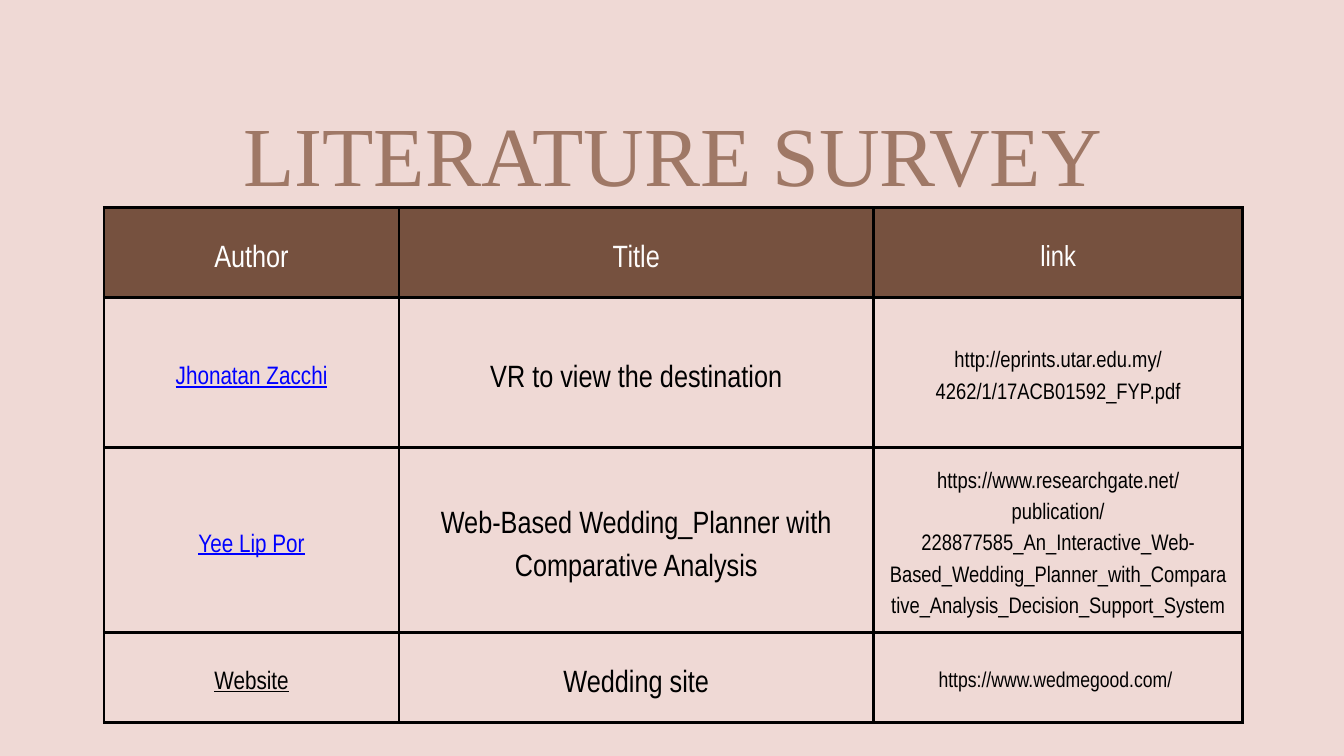
import pptx
import pptx.dml.color
import pptx.enum.text
import pptx.oxml.ns
import pptx.util
from lxml import etree

Pt = pptx.util.Pt
RGBColor = pptx.dml.color.RGBColor
PP_ALIGN = pptx.enum.text.PP_ALIGN
MSO_ANCHOR = pptx.enum.text.MSO_ANCHOR

BLUSH = RGBColor(0xEF, 0xD9, 0xD5)
TAN = RGBColor(0x9F, 0x78, 0x66)
BROWN = RGBColor(0x76, 0x51, 0x3F)
WHITE = RGBColor(0xFF, 0xFF, 0xFF)
OFF_WHITE = RGBColor(0xFD, 0xFB, 0xFB)
BLACK = RGBColor(0, 0, 0)
BLUE = RGBColor(0, 0, 0xFF)

TITLE_FONT = "Times New Roman"
TABLE_FONT = "Arial Narrow"
LINE_RATIO = 1.4
CELL_MARGIN = 15
BORDER_WIDTH = 3

COLUMNS = [316, 508.5, 395.5]
ROW_HEIGHTS = [96.5, 160.5, 178.5, 96.5]
HEADER = [("Author", 33, WHITE, False), ("Title", 33, OFF_WHITE, False), ("link", 31, WHITE, False)]
SURVEY = [
    ("Jhonatan Zacchi", BLUE, "VR to view the destination",
     "http://eprints.utar.edu.my/4262/1/17ACB01592_FYP.pdf", 24),
    ("Yee Lip Por", BLUE, "Web-Based Wedding_Planner with Comparative Analysis",
     "https://www.researchgate.net/publication/228877585_An_Interactive_Web-"
     "Based_Wedding_Planner_with_Comparative_Analysis_Decision_Support_System", 24),
    ("Website", BLACK, "Wedding site", "https://www.wedmegood.com/ ", 23),
]


def write_text(tf, text, size, font, color, spacing, underline=False):
    p = tf.paragraphs[0]
    p.alignment = PP_ALIGN.CENTER
    p.line_spacing = Pt(spacing)
    r = p.add_run()
    r.text = text
    r.font.name = font
    r.font.size = Pt(size)
    r.font.color.rgb = color
    r.font.underline = underline


def add_borders(cell):
    tc_pr = cell._tc.get_or_add_tcPr()
    for side in ("lnL", "lnR", "lnT", "lnB"):
        ln = etree.SubElement(tc_pr, pptx.oxml.ns.qn(f"a:{side}"), w=str(Pt(BORDER_WIDTH)))
        fill = etree.SubElement(ln, pptx.oxml.ns.qn("a:solidFill"))
        etree.SubElement(fill, pptx.oxml.ns.qn("a:srgbClr"), val=str(BLACK))


def add_title(s, left, top, width, height):
    tf = s.shapes.add_textbox(Pt(left), Pt(top), Pt(width), Pt(height)).text_frame
    tf.word_wrap = True
    tf.margin_left = tf.margin_right = tf.margin_top = tf.margin_bottom = 0
    write_text(tf, "LITERATURE SURVEY", 90, TITLE_FONT, TAN, 90)


def add_survey_table(s, left, top, width, height):
    rows = [HEADER] + [
        [(author, 27, color, True), (title, 33, BLACK, False), (link, link_size, BLACK, False)]
        for author, color, title, link, link_size in SURVEY
    ]
    table = s.shapes.add_table(
        len(rows), len(COLUMNS), Pt(left), Pt(top), Pt(width), Pt(height)).table
    table.horz_banding = False
    table.first_row = False
    for column, share in zip(table.columns, COLUMNS):
        column.width = Pt(width * share / sum(COLUMNS))
    for row, share in zip(table.rows, ROW_HEIGHTS):
        row.height = Pt(height * share / sum(ROW_HEIGHTS))
    for i, row in enumerate(rows):
        for j, (text, size, color, underline) in enumerate(row):
            cell = table.cell(i, j)
            cell.vertical_anchor = MSO_ANCHOR.MIDDLE
            cell.margin_left = cell.margin_right = Pt(CELL_MARGIN)
            cell.margin_top = cell.margin_bottom = Pt(CELL_MARGIN)
            add_borders(cell)
            if i == 0:
                cell.fill.solid()
                cell.fill.fore_color.rgb = BROWN
            else:
                cell.fill.background()
            write_text(cell.text_frame, text, size, TABLE_FONT, color,
                       round(size * LINE_RATIO, 1), underline)


def main():
    prs = pptx.Presentation()
    prs.slide_width, prs.slide_height = Pt(1440), Pt(810)
    s = prs.slides.add_slide(prs.slide_layouts[6])
    s.background.fill.solid()
    s.background.fill.fore_color.rgb = BLUSH
    add_title(s, 223, 128, 996, 94.5)
    add_survey_table(s, 111.5, 222.5, sum(COLUMNS), sum(ROW_HEIGHTS))
    prs.save("out.pptx")


if __name__ == "__main__":
    main()
